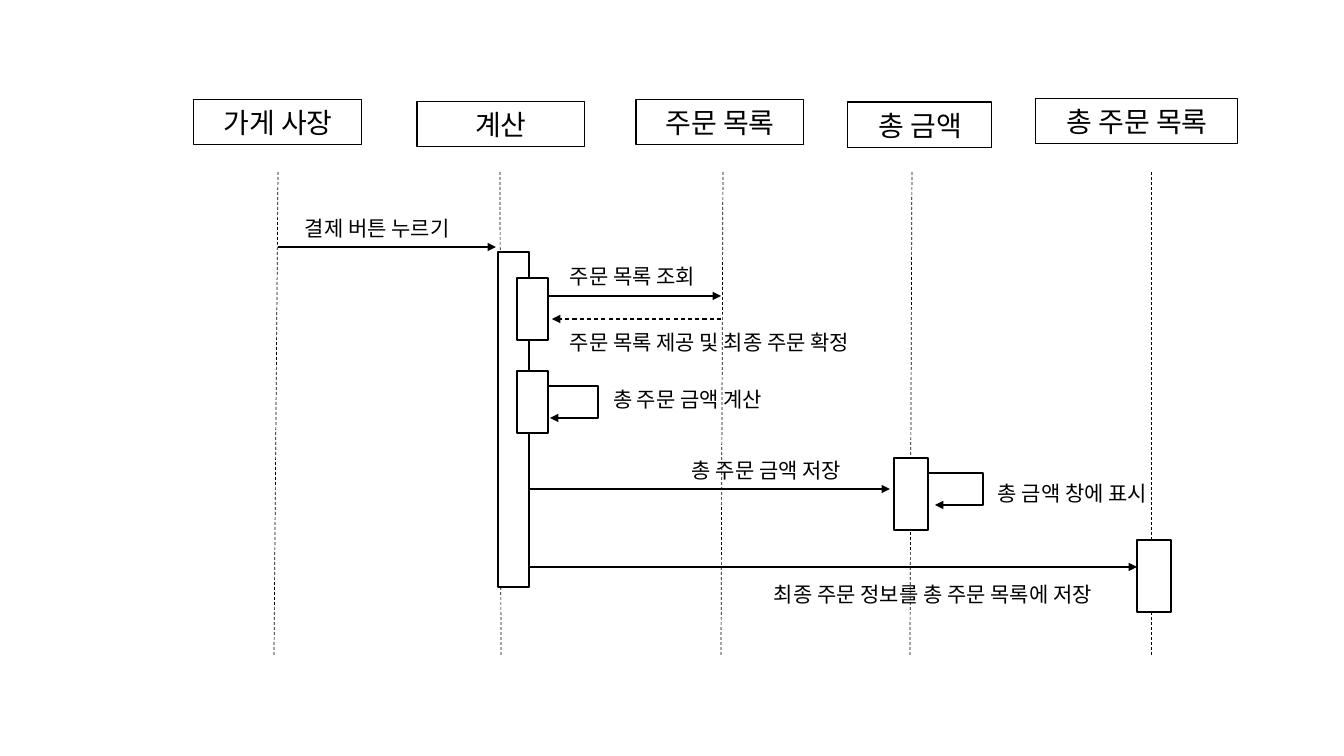
from dataclasses import dataclass
from lxml.etree import SubElement as Sub
from pptx import Presentation
from pptx.dml.color import RGBColor as Rgb
from pptx.enum.dml import MSO_LINE_DASH_STYLE as Dash
from pptx.enum.shapes import MSO_CONNECTOR as Conn, MSO_SHAPE as Shape
from pptx.enum.text import MSO_ANCHOR as Anchor, PP_ALIGN as Align
from pptx.oxml.ns import qn
from pptx.util import Pt


@dataclass(frozen=True)
class Theme:
    font: str = "Noto Sans CJK KR"
    ink: Rgb = Rgb(0, 0, 0)
    paper: Rgb = Rgb(255, 255, 255)
    head: int = 20
    note: int = 15
    thin: float = 0.5
    edge: float = 0.75
    bar: float = 1
    flow: float = 1.5


THEME = Theme()
SCALE = 914400 / 100.8
WIDE, HIGH = 1344, 756
PAD = 10
LOOP = (37, 32)
BEND = 229800

HEADS = [
    ("가게 사장", 194, 100, 168, 45),
    ("계산", 417, 102, 168, 45),
    ("주문 목록", 636, 100, 168, 45),
    ("총 금액", 848, 102, 144, 46),
    ("총 주문 목록", 1036, 99, 202, 45),
]
LIVES = [(278, 274), (500, 501), (723, 721), (912, 910), (1151, 1151)]
LIFE = (172, 655)
CALLS = [
    (278, 496, 247),
    (517, 721, 296),
    (500, 890, 489),
    (517, 1137, 567),
]
REPLY = (721, 552, 319)
LOOPS = [(513, 386), (898, 473)]
BARS = [
    (498, 252, 31, 335),
    (517, 278, 31, 62),
    (517, 371, 31, 62),
    (894, 458, 34, 72),
    (1137, 540, 34, 72),
]
NOTES = [
    ("결제 버튼 누르기", 295, 211, 277),
    ("주문 목록 조회", 560, 259, 256),
    ("주문 목록 제공 및 최종 주문 확정", 560, 325, 371),
    ("총 주문 금액 계산", 603, 382, 213),
    ("총 주문 금액 저장", 682, 453, 238),
    ("총 금액 창에 표시", 988, 476, 201),
    ("최종 주문 정보를 총 주문 목록에 저장", 764, 577, 492),
]
NOTE_H = 35


def px(*nums):
    return [round(n * SCALE) for n in nums]


def join(slide, ends, width, dash=False, tip=True, kind=Conn.STRAIGHT):
    link = slide.shapes.add_connector(kind, *px(*ends))
    link.line.color.rgb = THEME.ink
    link.line.width = Pt(width)
    if dash:
        link.line.dash_style = Dash.DASH
    if tip:
        Sub(link.line._get_or_add_ln(), qn("a:tailEnd"), type="triangle")
    Sub(link._element.spPr, qn("a:effectLst"))
    return link


def loop(slide, x, y):
    wide, high = LOOP
    link = join(slide, (x, y, x + wide, y + high), THEME.flow, kind=Conn.ELBOW)
    args = link._element.spPr.find(qn("a:prstGeom")).find(qn("a:avLst"))
    Sub(args, qn("a:gd"), name="adj1", fmla=f"val {BEND}")


def box(slide, area, width, fill):
    rect = slide.shapes.add_shape(Shape.RECTANGLE, *px(*area))
    rect.shadow.inherit = False
    if fill:
        rect.fill.solid()
        rect.fill.fore_color.rgb = THEME.paper
    else:
        rect.fill.background()
    rect.line.color.rgb = THEME.ink
    rect.line.width = Pt(width)
    return rect


def write(shape, text, size, align):
    frame = shape.text_frame
    frame.word_wrap = True
    frame.vertical_anchor = Anchor.MIDDLE
    frame.margin_left, frame.margin_right = px(PAD, PAD)
    frame.margin_top = frame.margin_bottom = 0
    para = frame.paragraphs[0]
    para.alignment = align
    run = para.add_run()
    run.text = text
    run.font.size = Pt(size)
    run.font.color.rgb = THEME.ink
    run.font.name = THEME.font
    Sub(run.font._element, qn("a:ea"), typeface=THEME.font)


def main():
    deck = Presentation()
    deck.slide_width, deck.slide_height = px(WIDE, HIGH)
    slide = deck.slides.add_slide(deck.slide_layouts[6])
    top, end = LIFE
    for text, *area in HEADS:
        write(box(slide, area, THEME.edge, False), text, THEME.head, Align.CENTER)
    for x1, x2 in LIVES:
        join(slide, (x1, top, x2, end), THEME.thin, dash=True, tip=False)
    for x1, x2, y in CALLS:
        join(slide, (x1, y, x2, y), THEME.flow)
    for x, y in LOOPS:
        loop(slide, x, y)
    for area in BARS:
        box(slide, area, THEME.bar, True)
    x1, x2, y = REPLY
    join(slide, (x1, y, x2, y), THEME.edge, dash=True)
    for text, x, y, wide in NOTES:
        note = slide.shapes.add_textbox(*px(x, y, wide, NOTE_H))
        write(note, text, THEME.note, Align.LEFT)
    deck.save("out.pptx")


if __name__ == "__main__":
    main()
